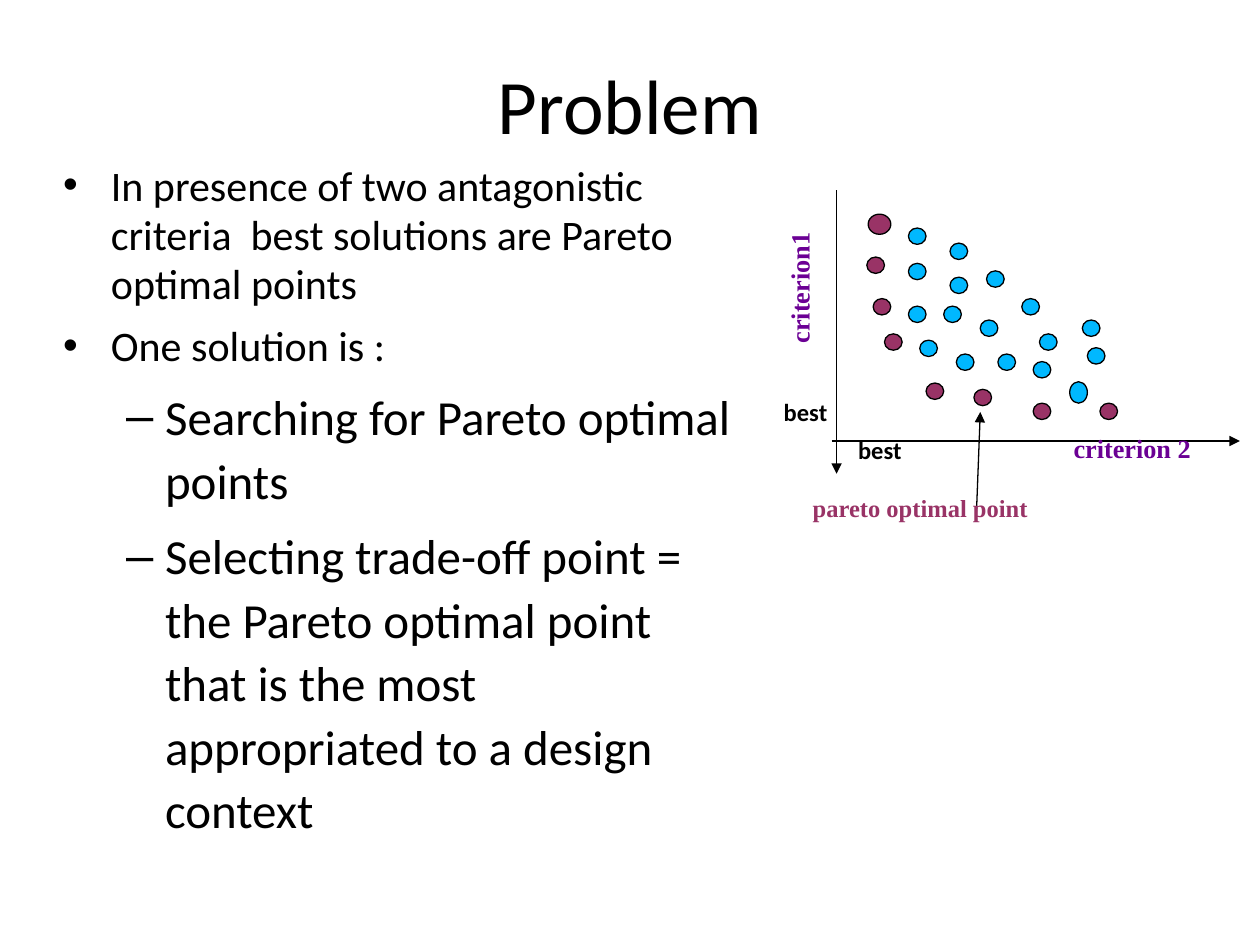
"""Build a slide on Pareto optimal points with a scatter sketch of two criteria."""
from typing import NamedTuple

from pptx import Presentation
from pptx.dml.color import RGBColor
from pptx.enum.shapes import MSO_CONNECTOR, MSO_SHAPE
from pptx.enum.text import MSO_ANCHOR, PP_ALIGN
from pptx.oxml.ns import qn
from pptx.util import Inches, Pt
from lxml.etree import SubElement

BLACK = RGBColor(0, 0, 0)
BLUE = RGBColor(0x00, 0xB8, 0xFF)
PLUM = RGBColor(0x99, 0x33, 0x66)
VIOLET = RGBColor(0x6B, 0x00, 0x94)
SANS = "Calibri"
SERIF = "Times New Roman"


class Box(NamedTuple):
    left: float
    top: float
    width: float
    height: float


class Label(NamedTuple):
    text: str
    box: Box
    size: int
    font: str
    color: RGBColor
    turn: int = 0
    wrap: bool = True
    tail: bool = False


class Point(NamedTuple):
    text: str
    size: int
    left: float
    hang: float
    mark: str
    lead: object


class Dot(NamedTuple):
    left: float
    top: float
    width: float = 0.14
    height: float = 0.13


class Arrow(NamedTuple):
    start: tuple[float, float]
    end: tuple[float, float]


TITLE = Box(0.5, 0.45, 9, 0.74)
BODY = Box(0.5, 1.27, 5.31, 5.42)
MAIN = (24, 0.38, 0.38, "•", Pt(28.2))
SUB = (28, 0.81, 0.31, "–", 1.08)
POINTS = [
    Point("In presence of two antagonistic criteria  best solutions are Pareto optimal points", *MAIN),
    Point("One solution is :", *MAIN),
    Point("Searching for Pareto optimal points", *SUB),
    Point("Selecting trade-off point = the Pareto optimal point that is the most "
          "appropriated to a design context", *SUB),
]
DOTS = {
    BLUE: [
        Dot(7.21, 1.81), Dot(7.21, 2.09), Dot(7.21, 2.43), Dot(7.3, 2.7),
        Dot(7.49, 2.43), Dot(7.54, 1.93), Dot(7.54, 2.2), Dot(7.59, 2.81),
        Dot(7.78, 2.54), Dot(7.83, 2.15), Dot(7.92, 2.81), Dot(8.11, 2.37),
        Dot(8.2, 2.87), Dot(8.25, 2.65), Dot(8.59, 2.54), Dot(8.63, 2.76),
        Dot(8.49, 3.03, height=0.17),
    ],
    PLUM: [
        Dot(6.89, 1.7, 0.18, 0.16), Dot(6.88, 2.04), Dot(6.93, 2.37),
        Dot(7.02, 2.65), Dot(7.35, 3.04), Dot(7.73, 3.09),
        Dot(8.2, 3.2), Dot(8.73, 3.2),
    ],
}
ARROWS = [
    Arrow((6.6, 3.5), (9.84, 3.5)),
    Arrow((6.64, 1.51), (6.64, 3.76)),
    Arrow((7.75, 4.06), (7.78, 3.27)),
]
LABELS = [
    Label("criterion1", Box(5.52, 1.75, 1.62, 0.33), 15, SERIF, VIOLET, turn=270, tail=True),
    Label("criterion 2", Box(8.52, 3.38, 1.21, 0.33), 15, SERIF, VIOLET, tail=True),
    Label("best", Box(6.22, 3.06, 0.35, 0.33), 14, SANS, BLACK, wrap=False),
    Label("best", Box(6.81, 3.36, 0.35, 0.33), 14, SANS, BLACK, wrap=False),
    Label("pareto optimal point", Box(6.45, 3.82, 2.13, 0.33), 14, SERIF, PLUM),
]


def put(item, values: dict) -> None:
    for name, value in values.items():
        setattr(item, name, value)


def frame(slide, box: Box, wrap: bool = True):
    shape = slide.shapes.add_textbox(*map(Inches, box))
    edges = ("left", "top", "right", "bottom")
    put(shape.text_frame, {f"margin_{edge}": 0 for edge in edges} | {"word_wrap": wrap})
    return shape


def write(para, text: str, size: int, font: str = SANS,
          color: RGBColor = BLACK, bold: bool = False) -> None:
    run = para.add_run()
    run.text = text
    put(run.font, {"size": Pt(size), "name": font, "bold": bold})
    run.font.color.rgb = color


def add_title(slide) -> None:
    text = frame(slide, TITLE).text_frame
    text.vertical_anchor = MSO_ANCHOR.MIDDLE
    para = text.paragraphs[0]
    para.alignment = PP_ALIGN.CENTER
    write(para, "Problem", 44)


def add_body(slide) -> None:
    text = frame(slide, BODY).text_frame
    for num, point in enumerate(POINTS):
        para = text.add_paragraph() if num else text.paragraphs[0]
        put(para, {"line_spacing": point.lead, "space_before": Pt(7)})
        write(para, point.text, point.size)
        props = para._p.get_or_add_pPr()
        props.set("marL", str(Inches(point.left)))
        props.set("indent", str(-Inches(point.hang)))
        SubElement(props, qn("a:buFont"), typeface="Arial")
        SubElement(props, qn("a:buChar"), char=point.mark)


def add_dot(slide, dot: Dot, color: RGBColor) -> None:
    shape = slide.shapes.add_shape(MSO_SHAPE.OVAL, *map(Inches, dot))
    shape.shadow.inherit = False
    shape.fill.solid()
    shape.fill.fore_color.rgb = color
    shape.line.color.rgb = BLACK
    shape.line.width = Pt(0.75)


def add_arrow(slide, arrow: Arrow) -> None:
    ends = map(Inches, arrow.start + arrow.end)
    link = slide.shapes.add_connector(MSO_CONNECTOR.STRAIGHT, *ends)
    link.line.color.rgb = BLACK
    link.line.width = Pt(0.75)
    SubElement(link.line._get_or_add_ln(), qn("a:tailEnd"), type="triangle")
    SubElement(link._element.spPr, qn("a:effectLst"))


def add_label(slide, label: Label) -> None:
    shape = frame(slide, label.box, label.wrap)
    shape.rotation = label.turn
    para = shape.text_frame.paragraphs[0]
    para.line_spacing = Pt(23.6)
    write(para, label.text, label.size, label.font, label.color, True)
    if label.tail:
        write(para, " ", 24, label.font)


def main() -> None:
    deck = Presentation()
    put(deck, {"slide_width": Inches(10), "slide_height": Inches(7.5)})
    slide = deck.slides.add_slide(deck.slide_layouts[6])
    add_title(slide)
    add_body(slide)
    for color, dots in DOTS.items():
        for dot in dots:
            add_dot(slide, dot, color)
    for arrow in ARROWS:
        add_arrow(slide, arrow)
    for label in LABELS:
        add_label(slide, label)
    deck.save("out.pptx")


if __name__ == "__main__":
    main()
